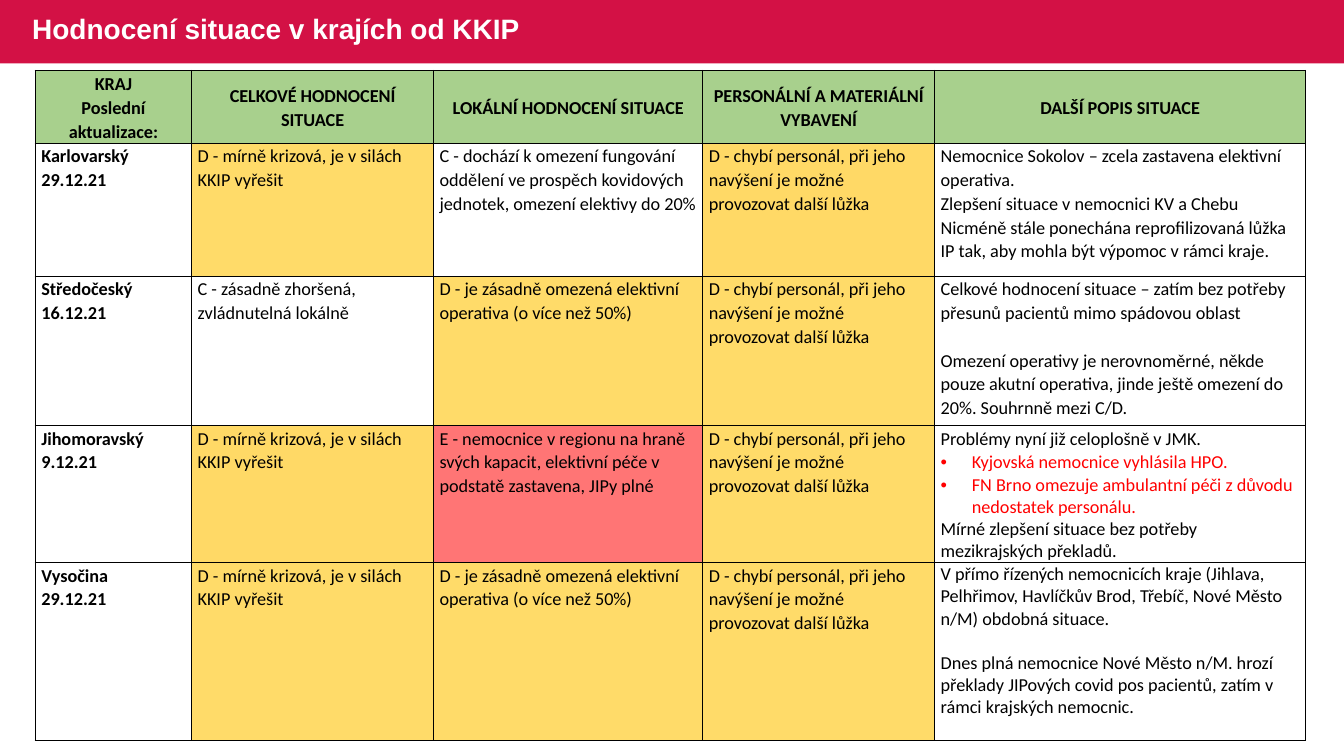
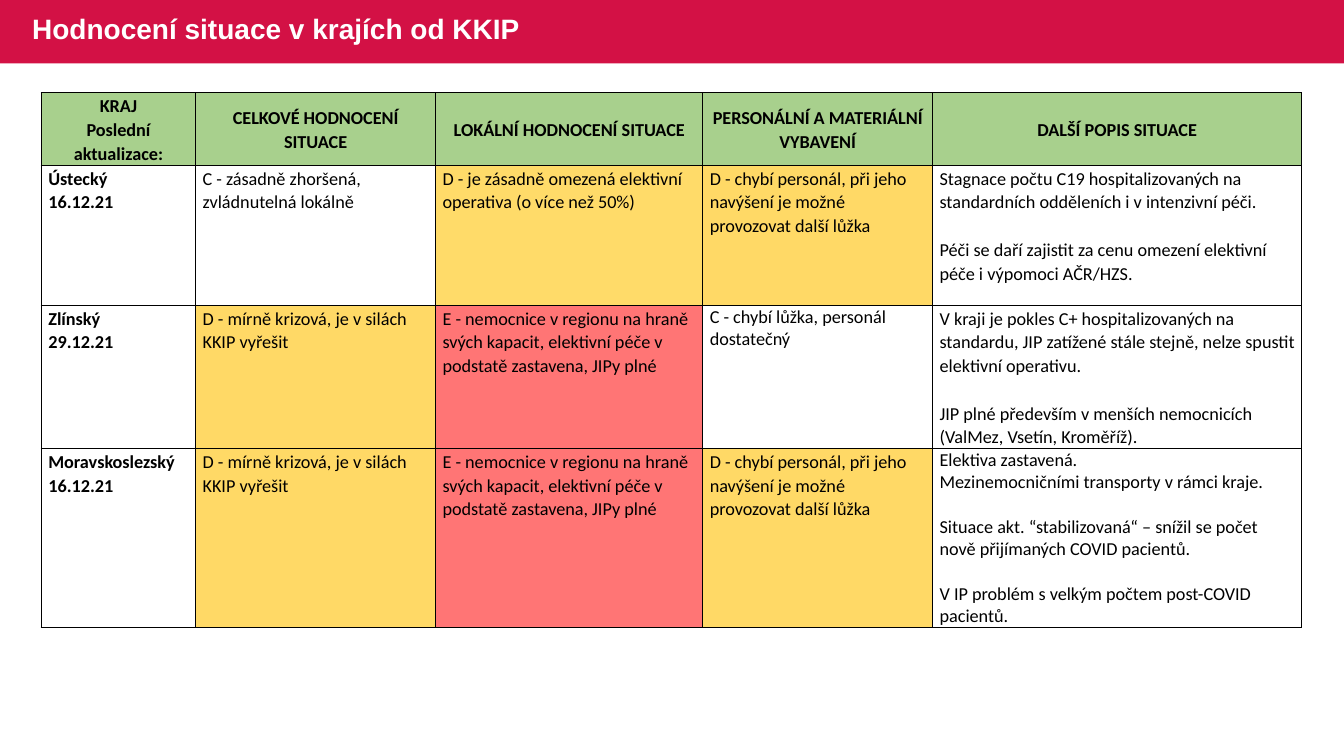
"""Build two slides of tables rating the situation in the regions."""
from lxml import etree
from pptx import Presentation
from pptx.dml.color import RGBColor
from pptx.enum import shapes, text
from pptx.oxml import ns
from pptx.util import Inches, Pt

COLORS = {"band": "D31145", "header": "A8D08D", "white": "FFFFFF", "black": "000000",
          "amber": "FFDB69", "gold": "FFD966", "coral": "FF7575", "red": "FF0000"}
TITLE = "Hodnocení situace v krajích od KKIP"
HEADERS = [("KRAJ", "Poslední aktualizace:"), ("CELKOVÉ HODNOCENÍ SITUACE",),
           ("LOKÁLNÍ HODNOCENÍ SITUACE",), ("PERSONÁLNÍ A MATERIÁLNÍ VYBAVENÍ",),
           ("DALŠÍ POPIS SITUACE",)]
LOOSE, SINGLE = 1.07, 1.0
BLANK_LINE = {LOOSE: 17, SINGLE: 16}

OVERALL_C = "C - zásadně zhoršená, zvládnutelná lokálně"
OVERALL_D = "D - mírně krizová, je v silách KKIP vyřešit"
LOCAL_C = ("C - dochází k omezení fungování oddělení ve prospěch kovidových jednotek, "
           "omezení elektivy do 20%")
LOCAL_D = "D - je zásadně omezená elektivní operativa (o více než 50%)"
LOCAL_E = ("E - nemocnice v regionu na hraně svých kapacit, elektivní péče v podstatě "
           "zastavena, JIPy plné")
STAFF_C = "C - chybí lůžka, personál dostatečný"
STAFF_D = "D - chybí personál, při jeho navýšení je možné provozovat další lůžka"


def line(wording, spacing=LOOSE, gap=False, bullet=False, color="black"):
    return {"wording": wording, "spacing": spacing, "bullet": bullet, "color": color,
            "before": BLANK_LINE[spacing] if gap else 0}


SLIDES = [
    {"left": 0.35, "top": 0.7, "inset": 0.06,
     "cols": [1.55, 2.4, 2.67, 2.3, 3.68], "rows": [0.72, 1.32, 1.48, 1.36, 1.77],
     "regions": [
         ("Karlovarský", "29.12.21",
          [(OVERALL_D, "amber"), (LOCAL_C, "white"), (STAFF_D, "gold")],
          [line("Nemocnice Sokolov – zcela zastavena elektivní operativa."),
           line("Zlepšení situace v nemocnici KV a Chebu Nicméně stále ponechána "
                "reprofilizovaná lůžka IP tak, aby mohla být výpomoc v rámci kraje.")]),
         ("Středočeský", "16.12.21",
          [(OVERALL_C, "white"), (LOCAL_D, "amber"), (STAFF_D, "amber")],
          [line("Celkové hodnocení situace – zatím bez potřeby přesunů pacientů mimo "
                "spádovou oblast"),
           line("Omezení operativy je nerovnoměrné, někde pouze akutní operativa, jinde "
                "ještě omezení do 20%. Souhrnně mezi C/D.", gap=True)]),
         ("Jihomoravský", "9.12.21",
          [(OVERALL_D, "gold"), (LOCAL_E, "coral"), (STAFF_D, "amber")],
          [line("Problémy nyní již celoplošně v JMK."),
           line("Kyjovská nemocnice vyhlásila HPO.", bullet=True, color="red"),
           line("FN Brno omezuje ambulantní péči z důvodu nedostatek personálu.",
                SINGLE, bullet=True, color="red"),
           line("Mírné zlepšení situace bez potřeby mezikrajských překladů.", SINGLE)]),
         ("Vysočina", "29.12.21",
          [(OVERALL_D, "amber"), (LOCAL_D, "amber"), (STAFF_D, "amber")],
          [line("V přímo řízených nemocnicích kraje (Jihlava, Pelhřimov, Havlíčkův Brod, "
                "Třebíč, Nové Město n/M) obdobná situace.", SINGLE),
           line("Dnes plná nemocnice Nové Město n/M. hrozí překlady JIPových covid pos "
                "pacientů, zatím v rámci krajských nemocnic.", SINGLE, gap=True)]),
     ]},
    {"left": 0.41, "top": 0.92, "inset": 0.07,
     "cols": [1.53, 2.38, 2.65, 2.28, 3.66], "rows": [0.72, 1.39, 1.42, 1.78],
     "regions": [
         ("Ústecký", "16.12.21",
          [(OVERALL_C, "white"), (LOCAL_D, "amber"), (STAFF_D, "gold")],
          [line("Stagnace počtu C19 hospitalizovaných na standardních odděleních i v "
                "intenzivní péči."),
           line("Péči se daří zajistit za cenu omezení elektivní péče i výpomoci "
                "AČR/HZS.", gap=True)]),
         ("Zlínský", "29.12.21",
          [(OVERALL_D, "gold"), (LOCAL_E, "coral"), (STAFF_C, "white")],
          [line("V kraji je pokles C+ hospitalizovaných na standardu, JIP zatížené stále "
                "stejně, nelze spustit elektivní operativu."),
           line("JIP plné především v menších nemocnicích (ValMez, Vsetín, Kroměříž).",
                gap=True)]),
         ("Moravskoslezský", "16.12.21",
          [(OVERALL_D, "gold"), (LOCAL_E, "coral"), (STAFF_D, "gold")],
          [line("Elektiva zastavená.", SINGLE),
           line("Mezinemocničními transporty v rámci kraje.", SINGLE),
           line("Situace akt. “stabilizovaná“ – snížil se počet nově přijímaných COVID "
                "pacientů.", SINGLE, gap=True),
           line("V IP problém s velkým počtem post-COVID pacientů.", SINGLE, gap=True)]),
     ]},
]


def rgb(name):
    return RGBColor.from_string(COLORS[name])


def apply(target, **values):
    for name, value in values.items():
        setattr(target, name, value)


def add_span(para, wording, size, face, color, bold):
    span = para.add_run()
    span.text = wording
    apply(span.font, size=Pt(size), name=face, bold=bold)
    span.font.color.rgb = rgb(color)


def add_bullet(para):
    props = para._p.get_or_add_pPr()
    props.set("marL", str(Inches(0.31)))
    props.set("indent", str(-Inches(0.31)))
    etree.SubElement(props, ns.qn("a:buFont"), typeface="Arial")
    etree.SubElement(props, ns.qn("a:buChar"), char="•")


def add_borders(cell):
    props = cell._tc.get_or_add_tcPr()
    for side in "LRTB":
        border = etree.SubElement(props, ns.qn("a:ln" + side), w=str(Pt(1)))
        fill = etree.SubElement(border, ns.qn("a:solidFill"))
        etree.SubElement(fill, ns.qn("a:srgbClr"), val=COLORS["black"])


def fill_cell(cell, lines, fill, inset, bold=False, header=False):
    anchor = text.MSO_ANCHOR.MIDDLE if header else text.MSO_ANCHOR.TOP
    apply(cell, margin_left=Inches(inset), margin_right=Inches(inset),
          margin_top=Inches(0.01), margin_bottom=0, vertical_anchor=anchor)
    add_borders(cell)
    cell.fill.solid()
    cell.fill.fore_color.rgb = rgb(fill)
    for index, item in enumerate(lines):
        para = cell.text_frame.add_paragraph() if index else cell.text_frame.paragraphs[0]
        if item["bullet"]:
            add_bullet(para)
        apply(para, line_spacing=item["spacing"],
              alignment=text.PP_ALIGN.CENTER if header else text.PP_ALIGN.LEFT)
        if item["before"]:
            para.space_before = Pt(item["before"])
        add_span(para, item["wording"], 13, "Calibri", item["color"], bold)


def add_title(page, width):
    band = page.shapes.add_shape(shapes.MSO_SHAPE.RECTANGLE, 0, 0, width, Inches(0.63))
    band.shadow.inherit = False
    band.fill.solid()
    band.fill.fore_color.rgb = rgb("band")
    band.line.fill.background()
    box = page.shapes.add_textbox(Inches(0.22), Inches(-0.01), Inches(8.14), Inches(0.63))
    apply(box.text_frame, word_wrap=True, vertical_anchor=text.MSO_ANCHOR.MIDDLE)
    para = box.text_frame.paragraphs[0]
    para.line_spacing = 0.9
    add_span(para, TITLE, 20, "Arial", "white", True)


def add_ratings(page, content):
    cols, rows, inset = content["cols"], content["rows"], content["inset"]
    frame = page.shapes.add_table(
        len(rows), len(cols), Inches(content["left"]), Inches(content["top"]),
        Inches(sum(cols)), Inches(sum(rows)))
    table = frame.table
    table.horz_banding = False
    for column, width in zip(table.columns, cols):
        column.width = Inches(width)
    for row, height in zip(table.rows, rows):
        row.height = Inches(height)
    for col, wordings in enumerate(HEADERS):
        fill_cell(table.cell(0, col), map(line, wordings), "header", inset, True, True)
    for row, (region, date, ratings, details) in enumerate(content["regions"], 1):
        fill_cell(table.cell(row, 0), [line(region), line(date)], "white", inset, True)
        for col, (wording, fill) in enumerate(ratings, 1):
            spacing = SINGLE if wording == STAFF_C else LOOSE
            fill_cell(table.cell(row, col), [line(wording, spacing)], fill, inset)
        fill_cell(table.cell(row, len(cols) - 1), details, "white", inset)


def main():
    deck = Presentation()
    apply(deck, slide_width=Inches(13.33), slide_height=Inches(7.5))
    for content in SLIDES:
        page = deck.slides.add_slide(deck.slide_layouts[6])
        add_title(page, deck.slide_width)
        add_ratings(page, content)
    deck.save("out.pptx")


if __name__ == "__main__":
    main()
